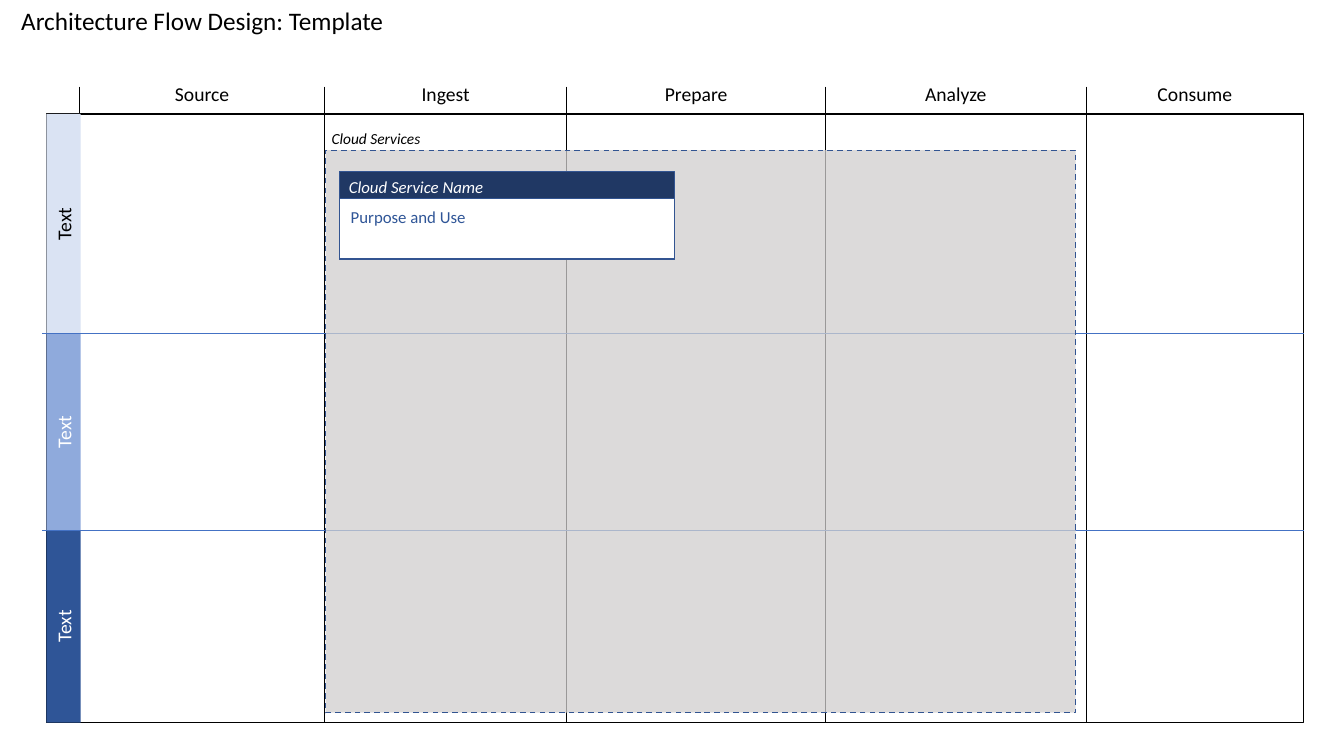
from dataclasses import dataclass
from itertools import pairwise

from pptx import Presentation
from pptx.dml.color import RGBColor
from pptx.enum.dml import MSO_LINE
from pptx.enum.shapes import MSO_CONNECTOR, MSO_SHAPE
from pptx.enum.text import MSO_ANCHOR, PP_ALIGN
from pptx.oxml.ns import qn
from pptx.util import Inches, Pt
from lxml import etree

RECT = MSO_SHAPE.RECTANGLE
STRAIGHT = MSO_CONNECTOR.STRAIGHT
DASH = MSO_LINE.DASH
LEFT, CENTER = PP_ALIGN.LEFT, PP_ALIGN.CENTER
TOP, MIDDLE = MSO_ANCHOR.TOP, MSO_ANCHOR.MIDDLE


@dataclass(frozen=True)
class Theme:
    font: str = "Calibri"
    title: int = 18
    heading: int = 14
    body: int = 12
    label: int = 11
    thin: float = 0.5
    thick: float = 1
    black: str = "000000"
    white: str = "FFFFFF"
    light: str = "DAE3F3"
    mid: str = "8FAADC"
    dark: str = "2F5597"
    navy: str = "203864"
    outline: str = "325491"
    divider: str = "4472C4"
    panel: str = "D0CECE"


class Board:
    def __init__(self, prs, theme):
        self.prs, self.t = prs, theme
        self.s = prs.slides.add_slide(prs.slide_layouts[5])
        self.target = self.s.shapes

    def x(self, share):
        return round(self.prs.slide_width * share / 100)

    def y(self, share):
        return round(self.prs.slide_height * share / 100)

    def place(self, box):
        x, y, w, h = box
        return self.x(x), self.y(y), self.x(w), self.y(h)

    def group(self):
        self.target = self.s.shapes.add_group_shape().shapes

    def put_text(self, sp, text, size, color, align=LEFT, anchor=TOP, italic=False, wrap=True):
        tf = sp.text_frame
        tf.word_wrap = wrap
        tf.vertical_anchor = anchor
        tf.margin_left = tf.margin_right = Inches(0.1)
        tf.margin_top = tf.margin_bottom = Inches(0.05)
        p = tf.paragraphs[0]
        p.alignment = align
        p.line_spacing = 1.0
        p.space_before = Pt(0)
        r = p.add_run()
        r.text = text
        r.font.name, r.font.size = self.t.font, Pt(size)
        r.font.italic = italic
        r.font.color.rgb = RGBColor.from_string(color)

    def title(self, text, box):
        sp = self.s.shapes.title
        sp.left, sp.top, sp.width, sp.height = self.place(box)
        self.put_text(sp, text, self.t.title, self.t.black)

    def text(self, text, box, size, color, **style):
        sp = self.target.add_textbox(*self.place(box))
        self.put_text(sp, text, size, color, **style)

    def rect(self, box, fill=None, line=None, dash=None, alpha=None):
        sp = self.target.add_shape(RECT, *self.place(box))
        sp.shadow.inherit = False
        if fill:
            sp.fill.solid()
            sp.fill.fore_color.rgb = RGBColor.from_string(fill)
        else:
            sp.fill.background()
        if alpha:
            clr = sp._element.spPr.find(f"{qn('a:solidFill')}/{qn('a:srgbClr')}")
            etree.SubElement(clr, qn("a:alpha"), val=str(alpha * 1000))
        if line:
            sp.line.color.rgb = RGBColor.from_string(line)
            sp.line.width = Pt(self.t.thick)
        else:
            sp.line.fill.background()
        if dash:
            sp.line.dash_style = dash
        return sp

    def band(self, text, box, fill, color):
        sp = self.rect(box, fill)
        cx, cy = sp.left + sp.width // 2, sp.top + sp.height // 2
        sp.width, sp.height = sp.height, sp.width
        sp.left, sp.top = cx - sp.width // 2, cy - sp.height // 2
        sp.rotation = 270
        self.put_text(sp, text, self.t.heading, color, align=CENTER, anchor=MIDDLE)

    def line(self, x1, y1, x2, y2, color):
        c = self.target.add_connector(STRAIGHT, self.x(x1), self.y(y1), self.x(x2), self.y(y2))
        c.line.color.rgb = RGBColor.from_string(color)
        c.line.width = Pt(self.t.thin)
        etree.SubElement(c._element.spPr, qn("a:effectLst"))


def main():
    prs = Presentation()
    prs.slide_width, prs.slide_height = Inches(13.33), Inches(7.5)
    t = Theme()
    b = Board(prs, t)

    cols = [5.93, 24.16, 42.16, 61.44, 80.8, 97]
    rows = [15.07, 44.13, 70.13, 95.6]
    left, right, top, bottom = 3.45, cols[-1], rows[0], rows[-1]
    stages = ["Source", "Ingest", "Prepare", "Analyze", "Consume"]
    bands = [(t.light, t.black), (t.mid, t.white), (t.dark, t.white)]

    b.title("Architecture Flow Design: Template", (0.83, 0, 36.08, 5.33))
    b.rect((left, top, right - left, bottom - top), line=t.black)
    for x in cols[:-1]:
        b.line(x, 11.47, x, bottom, t.black)
    for stage, (x1, x2) in zip(stages, pairwise(cols)):
        b.text(stage, (x1, 10.2, x2 - x1, 4.53), t.heading, t.black, align=CENTER)
    for (fill, color), (y1, y2) in zip(bands, pairwise(rows)):
        b.band("Text", (left, y1, 2.55, y2 - y1), fill, color)
    for y in rows[1:-1]:
        b.line(3.15, y, right, y, t.divider)

    b.group()
    b.rect((24.23, 19.87, 55.81, 74.4), t.panel, t.outline, DASH, alpha=74)
    b.text("Cloud Services", (23.93, 16.4, 9.23, 3.87), t.label, t.black, italic=True, wrap=False)

    b.group()
    b.rect((25.28, 22.67, 24.91, 11.6), t.navy, t.outline)
    b.rect((25.28, 26.27, 24.91, 8), t.white, t.outline)
    b.text("Cloud Service Name", (25.21, 22.67, 24.83, 4), t.body, t.white, italic=True)
    b.text("Purpose and Use", (25.36, 26.67, 24.68, 4), t.body, t.dark)

    prs.save("out.pptx")


if __name__ == "__main__":
    main()
